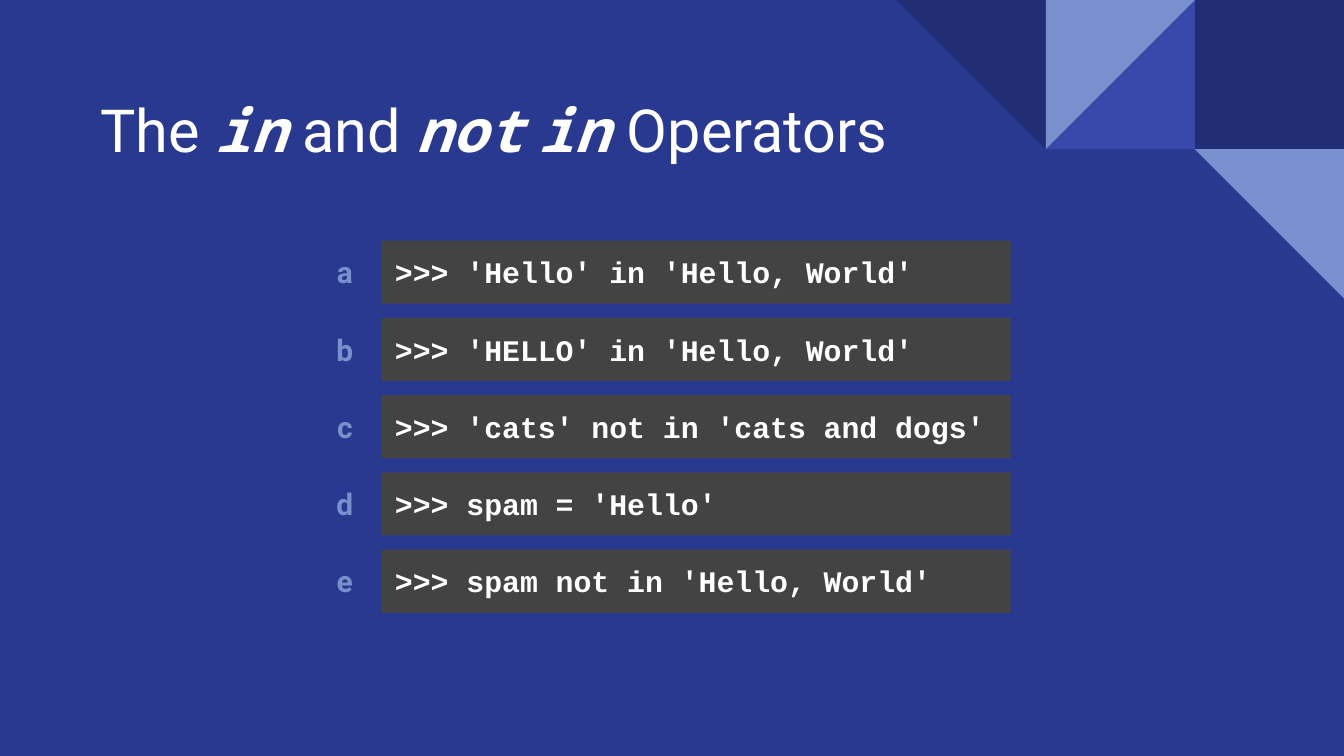
from pptx import Presentation
from pptx import util as u
from pptx.dml.color import RGBColor
from pptx.enum import shapes, text

NAVY, INDIGO, SKY = "212D74", "3949AB", "7890CD"
BACKGROUND, CODE_FILL, WHITE = "2A3990", "434343", "FFFFFF"
SANS, MONO, CODE = "Roboto", "Noto Sans Mono", "Courier New"
TILE = 1.11

# (left, top, rotation, colour); no rotation means a full square
TILES = [
    (8.89, 0, None, NAVY),
    (7.78, 0, 270, INDIGO),
    (7.78, 0, 90, SKY),
    (6.67, 0, 180, NAVY),
    (8.89, TILE, 180, SKY),
]

# (text, size, emphasised)
TITLE_RUNS = [
    ("The ", 31.8, False), ("in", 31.8, True), (" ", 35.8, False),
    ("and ", 31.8, False), ("not", 31.8, True), (" ", 13.8, True),
    ("in", 31.8, True), (" ", 37.8, False), ("Operators", 31.8, False),
]

EXPRESSIONS = {
    "a": ">>> 'Hello' in 'Hello, World'",
    "b": ">>> 'HELLO' in 'Hello, World'",
    "c": ">>> 'cats' not in 'cats and dogs'",
    "d": ">>> spam = 'Hello'",
    "e": ">>> spam not in 'Hello, World'",
}


def rgb(value):
    return RGBColor.from_string(value)


def add_filled(slide, kind, box, color):
    sp = slide.shapes.add_shape(kind, *map(u.Inches, box))
    sp.shadow.inherit = False
    sp.fill.solid()
    sp.fill.fore_color.rgb = rgb(color)
    sp.line.fill.background()
    return sp


def add_tile(slide, left, top, rotation, color):
    kind = shapes.MSO_SHAPE.RECTANGLE
    if rotation is not None:
        kind = shapes.MSO_SHAPE.RIGHT_TRIANGLE
    sp = add_filled(slide, kind, (left, top, TILE, TILE), color)
    sp.rotation = rotation or 0


def set_frame(sp, anchor):
    """Give the text frame even insets, wrapping and an anchor."""
    tf = sp.text_frame
    tf.margin_left = tf.margin_right = u.Inches(0.1)
    tf.margin_top = tf.margin_bottom = u.Inches(0.1)
    tf.word_wrap = True
    tf.vertical_anchor = anchor
    return tf


def set_font(font, name, size, color, bold):
    font.name, font.size, font.bold = name, u.Pt(size), bold
    font.color.rgb = rgb(color)


def set_line(sp, words, name, color, align):
    """Write one bold 16 pt line into a shape that grows with its text."""
    tf = set_frame(sp, text.MSO_ANCHOR.TOP)
    tf.auto_size = text.MSO_AUTO_SIZE.SHAPE_TO_FIT_TEXT
    p = tf.paragraphs[0]
    p.text, p.alignment = words, align
    set_font(p.font, name, 16, color, True)


def add_title(slide):
    sp = slide.shapes.add_textbox(*map(u.Inches, (0.65, 0.42, 8.99, 0.92)))
    p = set_frame(sp, text.MSO_ANCHOR.BOTTOM).paragraphs[0]
    for words, size, emphasised in TITLE_RUNS:
        r = p.add_run()
        r.text = words
        set_font(r.font, MONO if emphasised else SANS, size, WHITE, emphasised)
        r.font.italic = emphasised


def add_expression(slide, top, letter, code):
    bar = add_filled(slide, shapes.MSO_SHAPE.RECTANGLE,
                     (2.84, top, 4.68, 0.47), CODE_FILL)
    set_line(bar, code, CODE, WHITE, text.PP_ALIGN.LEFT)
    label = slide.shapes.add_textbox(*map(u.Inches, (2.37, top, 0.39, 0.47)))
    set_line(label, letter, SANS, SKY, text.PP_ALIGN.CENTER)


def main():
    prs = Presentation()
    prs.slide_width = u.Inches(10)
    prs.slide_height = prs.slide_width * 9 // 16
    slide = prs.slides.add_slide(prs.slide_layouts[6])
    slide.background.fill.solid()
    slide.background.fill.fore_color.rgb = rgb(BACKGROUND)

    for tile in TILES:
        add_tile(slide, *tile)
    add_title(slide)
    first, last = 1.79, 4.09
    step = (last - first) / (len(EXPRESSIONS) - 1)
    for i, (letter, code) in enumerate(EXPRESSIONS.items()):
        add_expression(slide, first + i * step, letter, code)

    prs.save("out.pptx")


if __name__ == "__main__":
    main()
